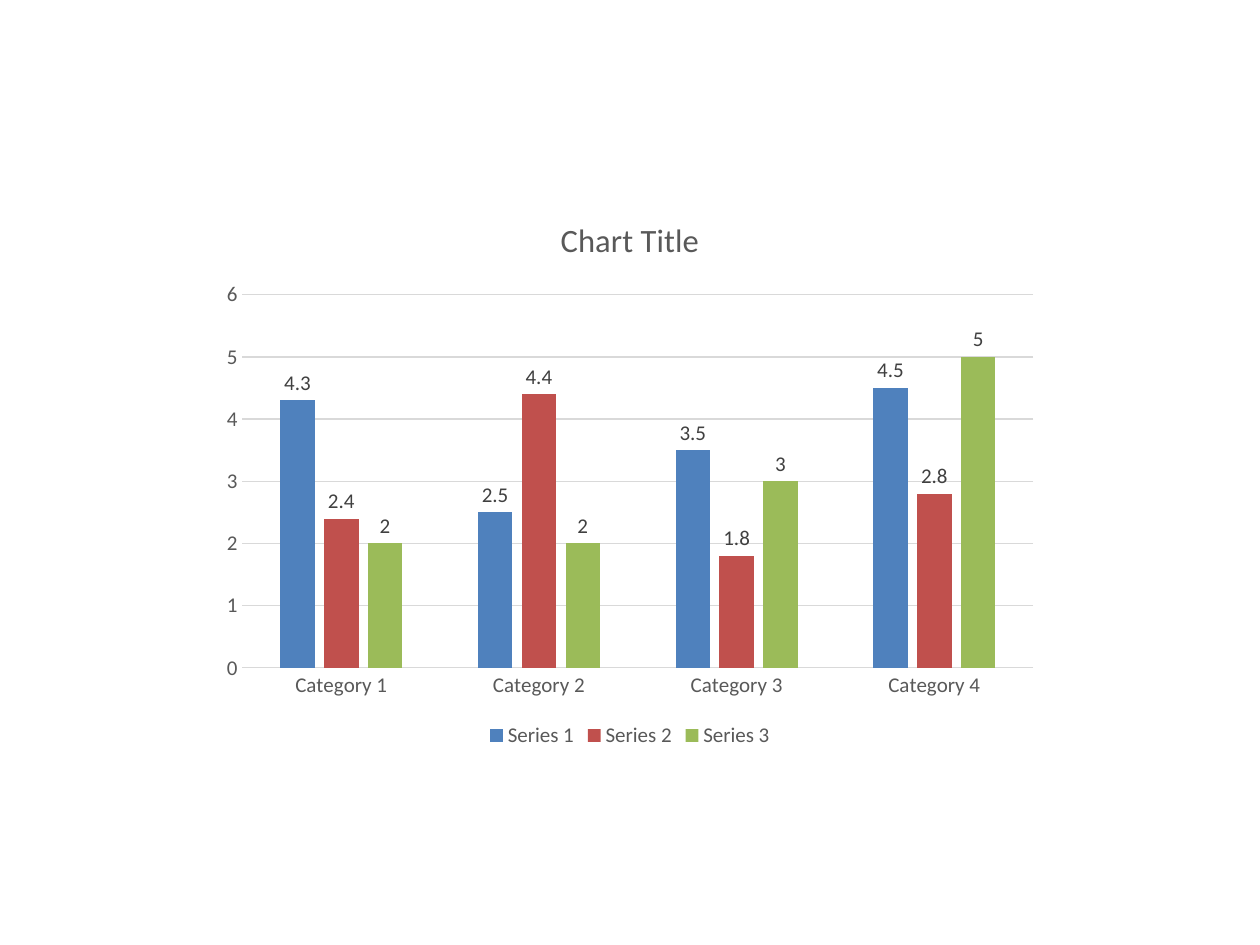
from pptx import Presentation
from pptx.chart.data import CategoryChartData as Data
from pptx.dml.color import RGBColor as RGB
from pptx.enum.chart import XL_CHART_TYPE as Kind
from pptx.enum.chart import XL_LABEL_POSITION as Spot
from pptx.enum.chart import XL_LEGEND_POSITION as Side
from pptx.enum.chart import XL_TICK_MARK as Tick
from pptx.util import Pt

BLUE = RGB(0x4F, 0x81, 0xBD)
RED = RGB(0xC0, 0x50, 0x4D)
GREEN = RGB(0x9B, 0xBB, 0x59)
GRAY = RGB(0x59, 0x59, 0x59)
DARK = RGB(0x40, 0x40, 0x40)
PALE = RGB(0xD9, 0xD9, 0xD9)
FACE = "Calibri"

CATS = ["Category 1", "Category 2", "Category 3", "Category 4"]
ROWS = [
    ("Series 1", BLUE, (4.3, 2.5, 3.5, 4.5)),
    ("Series 2", RED, (2.4, 4.4, 1.8, 2.8)),
    ("Series 3", GREEN, (2, 2, 3, 5)),
]


def px(n):
    """Turn pixels into EMU."""
    return round(n * 914400 / 126)


def style(font, color=GRAY, size=12):
    """Set the face, size and colour of a font."""
    font.name = FACE
    font.size = Pt(size)
    font.bold = False
    font.color.rgb = color


def rule(line):
    """Draw a thin pale line."""
    line.color.rgb = PALE
    line.width = Pt(0.75)


def add_bars(slide, x, y, w, h):
    """Add the clustered column chart and return it."""
    data = Data()
    data.categories = CATS
    for name, _, vals in ROWS:
        data.add_series(name, vals)
    box = px(x), px(y), px(w), px(h)
    chart = slide.shapes.add_chart(Kind.COLUMN_CLUSTERED, *box, data).chart
    style(chart.font, size=10)
    return chart


def set_head(chart, text):
    """Write the chart title and place the legend."""
    chart.has_title = True
    title = chart.chart_title
    title.include_in_layout = False
    para = title.text_frame.paragraphs[0]
    para.text = text
    style(para.font, size=18.6)
    chart.has_legend = True
    chart.legend.position = Side.BOTTOM
    chart.legend.include_in_layout = False
    style(chart.legend.font)


def set_axes(chart):
    """Format both axes and the grid."""
    cat, val = chart.category_axis, chart.value_axis
    for axis in (cat, val):
        axis.major_tick_mark = axis.minor_tick_mark = Tick.NONE
        style(axis.tick_labels.font)
    rule(cat.format.line)
    val.format.line.fill.background()
    val.minimum_scale, val.maximum_scale, val.major_unit = 0, 6, 1
    val.has_major_gridlines = True
    rule(val.major_gridlines.format.line)


def set_bars(chart):
    """Colour and label the columns."""
    plot = chart.plots[0]
    plot.gap_width = 219
    plot.overlap = -27
    plot.vary_by_categories = False
    for bars, (_, color, _) in zip(plot.series, ROWS):
        bars.format.fill.solid()
        bars.format.fill.fore_color.rgb = color
        tags = bars.data_labels
        tags.show_value = True
        tags.position = Spot.OUTSIDE_END
        style(tags.font, DARK)


def main():
    """Build and save the slide."""
    deck = Presentation()
    deck.slide_width, deck.slide_height = px(1260), px(945)
    slide = deck.slides.add_slide(deck.slide_layouts[6])
    chart = add_bars(slide, 210, 193, 840, 560)
    set_head(chart, "Chart Title")
    set_axes(chart)
    set_bars(chart)
    deck.save("out.pptx")


if __name__ == "__main__":
    main()
